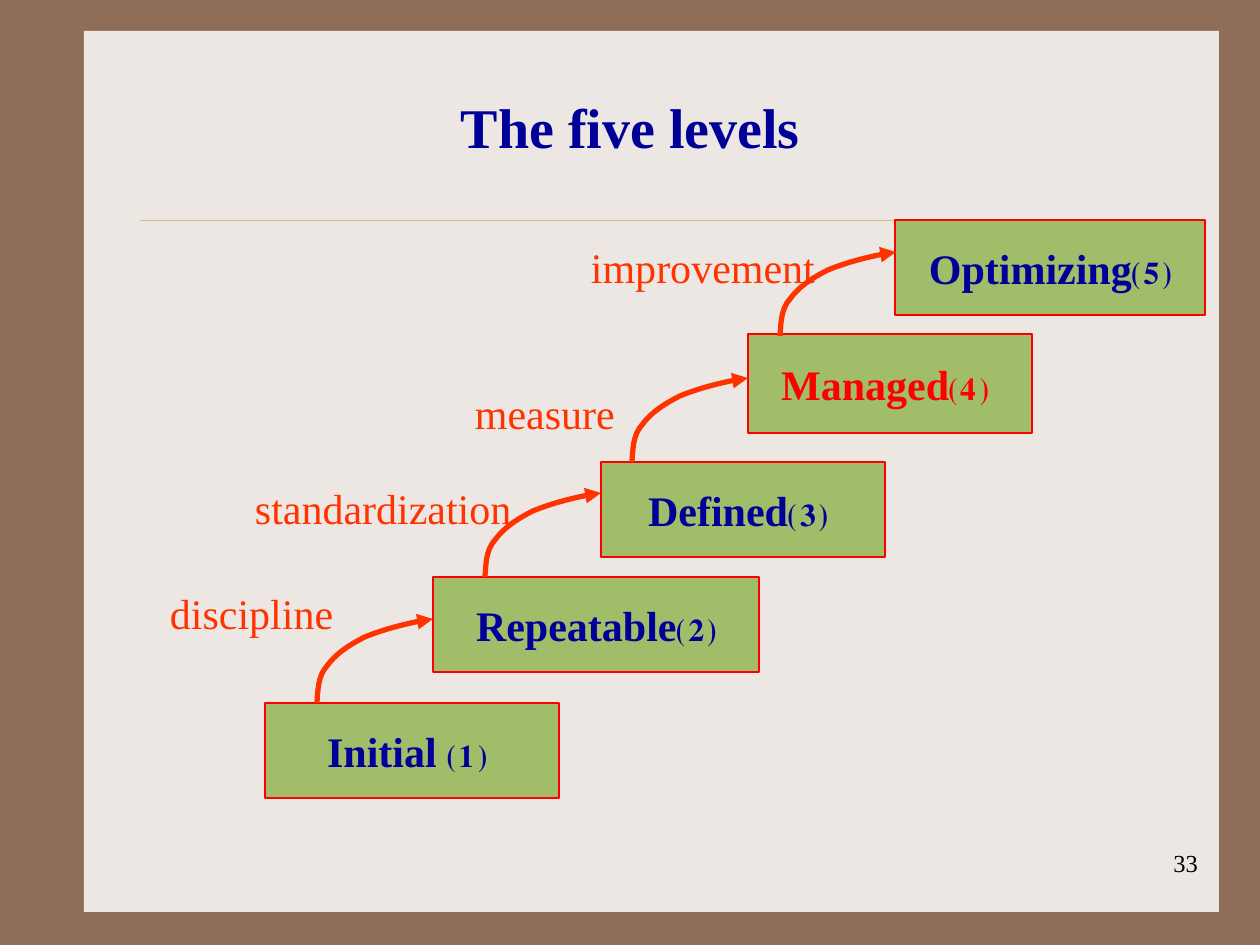
from pptx import Presentation
from pptx.dml.color import RGBColor
from pptx.enum.shapes import MSO_CONNECTOR, MSO_SHAPE
from pptx.enum.text import MSO_ANCHOR, PP_ALIGN
from pptx.oxml.ns import qn
from pptx.util import Pt
from lxml.etree import SubElement

PX = 914400 / 126
theme = {
    "font": "Times New Roman",
    "frame": RGBColor.from_string("906D58"),
    "paper": RGBColor.from_string("EDE7E3"),
    "rule": RGBColor.from_string("CBBD83"),
    "box": RGBColor.from_string("A1BD69"),
    "edge": RGBColor.from_string("FF0000"),
    "navy": RGBColor.from_string("000099"),
    "arrow": RGBColor.from_string("FF3300"),
    "black": RGBColor.from_string("000000"),
    "title": Pt(32), "body": Pt(24), "small": Pt(14),
}


def px(*vals):
    return [round(v * PX) for v in vals]


def write(shape, text, size, color, bold=False, align=PP_ALIGN.LEFT, pad=(13, 6), **frame):
    tf = shape.text_frame
    side, top = px(*pad)
    form = {"margin_left": side, "margin_right": side, "margin_top": top,
            "margin_bottom": top, "word_wrap": True, **frame}
    for key, val in form.items():
        setattr(tf, key, val)
    para = tf.paragraphs[0]
    para.alignment = align
    run = para.add_run()
    run.text = text
    for key, val in {"name": theme["font"], "size": theme[size], "bold": bold}.items():
        setattr(run.font, key, val)
    run.font.color.rgb = theme[color]


deck = Presentation()
deck.slide_width, deck.slide_height = px(1260, 945)
slide = deck.slides.add_slide(deck.slide_layouts[6])
shapes = slide.shapes
slide.background.fill.solid()
slide.background.fill.fore_color.rgb = theme["frame"]

paper = shapes.add_shape(MSO_SHAPE.RECTANGLE, *px(84, 31, 1135, 881))
paper.shadow.inherit = False
paper.fill.solid()
paper.fill.fore_color.rgb = theme["paper"]
paper.line.fill.background()

rule = shapes.add_connector(MSO_CONNECTOR.STRAIGHT, *px(140, 220, 1197, 220))
rule.line.color.rgb = theme["rule"]
rule.line.width = Pt(0.25)
SubElement(rule.element.spPr, qn("a:effectLst"))

write(shapes.add_textbox(*px(949, 842, 262, 63)), "33", "small", "black",
      align=PP_ALIGN.RIGHT)
write(shapes.add_textbox(*px(262, 84, 751, 84)), "The five levels ", "title", "navy",
      bold=True, align=PP_ALIGN.CENTER, vertical_anchor=MSO_ANCHOR.MIDDLE)

levels = [
    ("Initial ⑴ ", "navy", 265, 703, 294, 95),
    ("Repeatable⑵", "navy", 433, 577, 326, 95),
    ("Defined⑶ ", "navy", 601, 462, 284, 95),
    ("Managed⑷ ", "edge", 748, 334, 284, 99),
    ("Optimizing⑸", "navy", 895, 220, 310, 95),
]
for text, color, *area in levels:
    box = shapes.add_shape(MSO_SHAPE.RECTANGLE, *px(*area))
    box.shadow.inherit = False
    box.fill.solid()
    box.fill.fore_color.rgb = theme["box"]
    box.line.color.rgb = theme["edge"]
    box.line.width = Pt(0.75)
    write(box, text, "body", color, bold=True, align=PP_ALIGN.CENTER,
          word_wrap=False, vertical_anchor=MSO_ANCHOR.MIDDLE)

bend = [(1, -13), (1, -27), (10, -37), (18, -48), (30, -57), (48, -66),
        (65, -73), (98, -82), (116, -84)]
steps = [
    ("discipline", 170, 588, 262, 317, 703),
    ("standardization", 255, 483, 284, 485, 577),
    ("measure", 475, 388, 262, 632, 462),
    ("improvement", 591, 242, 262, 780, 336),
]
for text, left, top, wide, x, y in steps:
    pen = shapes.build_freeform(x, y, scale=PX)
    pen.add_line_segments([(x + dx, y + dy) for dx, dy in bend], close=False)
    curve = pen.convert_to_shape()
    lines = list(curve.element.iter(qn("a:lnTo")))
    for i in range(0, len(lines), 3):
        cubic = SubElement(lines[i].getparent(), qn("a:cubicBezTo"))
        for line in lines[i:i + 3]:
            cubic.append(line[0])
            line.getparent().remove(line)
    curve.shadow.inherit = False
    curve.fill.background()
    curve.line.color.rgb = theme["arrow"]
    curve.line.width = Pt(3)
    SubElement(curve.get_or_add_ln(), qn("a:tailEnd"), type="triangle")
    write(shapes.add_textbox(*px(left, top, wide, 50)), text, "body", "arrow", pad=(0, 0))

deck.save("out.pptx")
